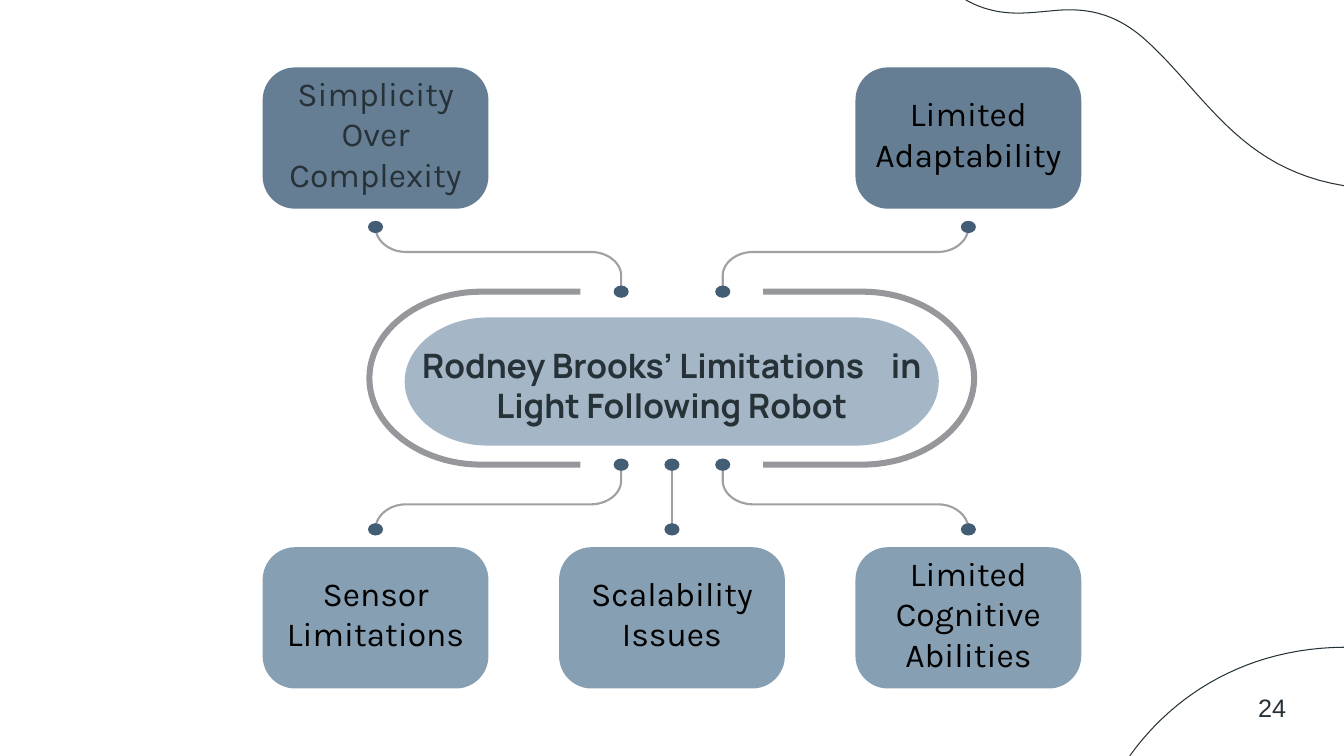
from dataclasses import dataclass
from typing import NamedTuple

from lxml.etree import SubElement
from pptx import Presentation
from pptx.dml.color import RGBColor
from pptx.enum.shapes import MSO_CONNECTOR, MSO_SHAPE
from pptx.enum.text import MSO_ANCHOR, MSO_AUTO_SIZE, PP_ALIGN
from pptx.oxml.ns import qn
from pptx.util import Cm, Pt


@dataclass(frozen=True)
class Theme:
    ink: str = "263238"
    black: str = "000000"
    top_card: str = "657E93"
    bottom_card: str = "869FB2"
    hub: str = "A5B7C6"
    bracket: str = "96979B"
    link: str = "9FA0A4"
    dot: str = "435D74"
    title_font: str = "Manrope"
    card_font: str = "Karla"
    number_font: str = "Arial"
    text_size: float = 24
    number_size: float = 18
    bracket_width: float = 4.3
    link_width: float = 1.5
    wave_width: float = 0.75


class Box(NamedTuple):
    x: float
    y: float
    w: float
    h: float

    @property
    def cx(self):
        return self.x + self.w / 2

    @property
    def cy(self):
        return self.y + self.h / 2

    def emu(self):
        return [Cm(v) for v in self]


T = Theme()
PAGE = Box(0, 0, 33.87, 19.05)
HUB = Box(9.31, 7.35, 15.24, 4.36)
CARD_W, CARD_H, CARD_PITCH = 5.69, 3.56, 7.47
INNER_DOT = 1.28
TOP_Y, BOTTOM_Y = 1.7, 13.79
TOP_CARDS = [(-1, "Simplicity Over Complexity", T.ink),
             (1, "Limited Adaptability", T.black)]
BOTTOM_CARDS = [(-1, "Sensor Limitations", T.black),
                (0, "Scalability Issues", T.black),
                (1, "Limited Cognitive Abilities", T.black)]


def rgb(color):
    return RGBColor.from_string(color)


def bezier(a, b, c, d, steps=24):
    """Points along a cubic curve."""
    points = []
    for i in range(steps + 1):
        t = i / steps
        u = 1 - t
        points.append(tuple(u**3 * p + 3 * u * u * t * q + 3 * u * t * t * r + t**3 * s
                            for p, q, r, s in zip(a, b, c, d)))
    return points


def bend(start, corner, end):
    """Quarter ellipse from start to end, rounding the corner."""
    def handle(p):
        return tuple(v + 0.55 * (k - v) for v, k in zip(p, corner))
    return bezier(start, handle(start), handle(end), end)


def outline(s, points, close=False):
    emu = [(Cm(x), Cm(y)) for x, y in points]
    builder = s.shapes.build_freeform(*emu[0], scale=1.0)
    builder.add_line_segments(emu[1:], close=close)
    sp = builder.convert_to_shape()
    sp.shadow.inherit = False
    return sp


def stroke(s, points, color, width):
    sp = outline(s, points)
    sp.fill.background()
    sp.line.color.rgb = rgb(color)
    sp.line.width = Pt(width)


def paint(sp, color):
    sp.fill.solid()
    sp.fill.fore_color.rgb = rgb(color)
    sp.line.fill.background()
    sp.shadow.inherit = False


def setup_text(sp, align, anchor=MSO_ANCHOR.MIDDLE, inset=0.33, lift=0):
    tf = sp.text_frame
    tf.word_wrap = True
    tf.auto_size = MSO_AUTO_SIZE.NONE
    tf.vertical_anchor = anchor
    tf.margin_left = tf.margin_right = tf.margin_top = Cm(inset)
    tf.margin_bottom = Cm(inset + lift)
    p = tf.paragraphs[0]
    p.alignment = align
    return p


def add_run(p, text, font, size, color, bold=False):
    r = p.add_run()
    r.text = text
    r.font.name, r.font.size, r.font.bold = font, Pt(size), bold
    r.font.color.rgb = rgb(color)
    return r


def dot(s, x, y, w=0.38, h=0.31):
    box = Box(x - w / 2, y - h / 2, w, h)
    paint(s.shapes.add_shape(MSO_SHAPE.OVAL, *box.emu()), T.dot)


def link(s, side, hub_y, card_y):
    """Dotted link from the hub edge to the card on one side (-1, 0 or 1)."""
    x_hub, x_card = PAGE.cx + side * INNER_DOT, PAGE.cx + side * CARD_PITCH
    if side:
        rx, ry = 0.77, 0.6
        down = 1 if hub_y > card_y else -1
        mid = card_y + down * 0.63
        points = bend((x_card, card_y), (x_card, mid), (x_card - side * rx, mid))
        points += bend((x_hub + side * rx, mid), (x_hub, mid), (x_hub, mid + down * ry))
        stroke(s, points + [(x_hub, hub_y)], T.link, T.link_width)
    else:
        line = s.shapes.add_connector(MSO_CONNECTOR.STRAIGHT, Cm(x_hub), Cm(hub_y),
                                      Cm(x_card), Cm(card_y))
        line.line.color.rgb = rgb(T.link)
        line.line.width = Pt(T.link_width)
        SubElement(line._element.spPr, qn("a:effectLst"))
    dot(s, x_hub, hub_y)
    dot(s, x_card, card_y)


def card(s, box, text, fill, color):
    sp = s.shapes.add_shape(MSO_SHAPE.ROUNDED_RECTANGLE, *box.emu())
    sp.adjustments[0] = 0.23
    paint(sp, fill)
    p = setup_text(sp, PP_ALIGN.CENTER, inset=0.05, lift=0.23)
    add_run(p, text, T.card_font, T.text_size, color)


def card_row(s, y, cards, fill, hub_y, card_y):
    for side, text, color in cards:
        link(s, side, hub_y, card_y)
        box = Box(PAGE.cx + side * CARD_PITCH - CARD_W / 2, y, CARD_W, CARD_H)
        card(s, box, text, fill, color)


def hub(s, box):
    """Central title on a pill, held by a bracket at each side."""
    pill = Box(box.cx - 6.73, box.y + 0.65, 13.46, 3.23)
    top, bottom = pill.y, pill.y + pill.h
    points = []
    for edge, side, start, end in ((pill.x, 1, bottom, top),
                                   (pill.x + pill.w, -1, top, bottom)):
        straight = edge + side * 2.1
        points += bend((straight, start), (edge, start), (edge, pill.cy))
        points += bend((edge, pill.cy), (edge, end), (straight, end))
    paint(outline(s, points, close=True), T.hub)

    top, bottom = box.y, box.y + box.h
    for side in (-1, 1):
        edge, straight, tip = (box.cx + side * d for d in (box.w / 2, 4.79, 2.3))
        points = [(tip, top)]
        points += bend((straight, top), (edge, top), (edge, box.cy))
        points += bend((edge, box.cy), (edge, bottom), (straight, bottom))
        stroke(s, points + [(tip, bottom)], T.bracket, T.bracket_width)

    title = s.shapes.title
    title.left, title.top, title.width, title.height = pill._replace(y=pill.y + 0.08).emu()
    p = setup_text(title, PP_ALIGN.CENTER)
    for text, spacing in (("Rodney Brooks’ Limitations", 0), (" ", 1430),
                          ("in Light Following Robot", 0)):
        r = add_run(p, text, T.title_font, T.text_size, T.ink, bold=True)
        if spacing:
            r.font._element.set("spc", str(spacing))
    s.shapes._spTree.append(title._element)


def corner_waves(s, box):
    right, bottom = box.x + box.w, box.y + box.h
    top_wave = bezier((right - 9.53, 0), (right - 8.6, 0.52), (right - 7.8, 0.28),
                      (right - 7.03, 0.25))
    top_wave += bezier((right - 7.03, 0.25), (right - 6.15, 0.22), (right - 5.55, 0.53),
                       (right - 5.03, 0.98))
    top_wave += bezier((right - 5.03, 0.98), (right - 3.5, 2.35), (right - 2.65, 4.25),
                       (right, 4.68))
    bottom_wave = bezier((right - 5.4, bottom), (right - 4.25, bottom - 1.6),
                         (right - 2.4, bottom - 2.72), (right, bottom - 2.74))
    for points in (top_wave, bottom_wave):
        stroke(s, points, T.ink, T.wave_width)


def page_number(s, box):
    sp = s.shapes.add_textbox(*box.emu())
    p = setup_text(sp, PP_ALIGN.RIGHT, MSO_ANCHOR.TOP, inset=0.13)
    sp.text_frame.margin_right = Cm(0.25)
    add_run(p, "24", T.number_font, T.number_size, T.ink)


def main():
    prs = Presentation()
    prs.slide_width, prs.slide_height = Cm(PAGE.w), Cm(PAGE.h)
    s = prs.slides.add_slide(prs.slide_layouts[5])
    corner_waves(s, PAGE)
    hub(s, HUB)
    card_row(s, TOP_Y, TOP_CARDS, T.top_card, HUB.y, 5.72)
    card_row(s, BOTTOM_Y, BOTTOM_CARDS, T.bottom_card, HUB.y + HUB.h, 13.34)
    page_number(s, Box(27.81, 17.32, 4.85, 1.02))
    prs.save("out.pptx")


if __name__ == "__main__":
    main()
